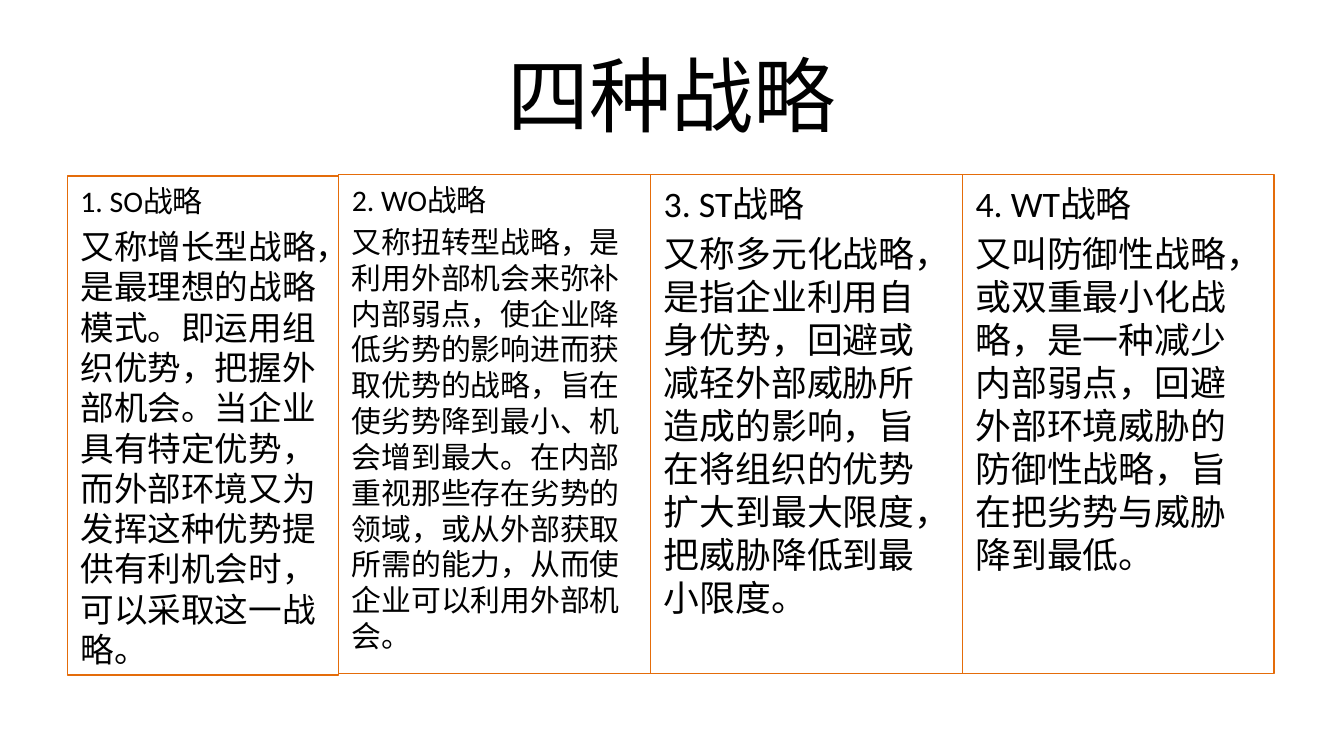
from dataclasses import dataclass

from pptx import Presentation
from pptx.dml.color import RGBColor
from pptx.enum.shapes import MSO_SHAPE as Shape
from pptx.enum.text import MSO_ANCHOR as Anchor, PP_ALIGN as Align
from pptx.util import Inches, Pt


@dataclass(frozen=True)
class Theme:
    font: str = "Calibri"
    ink: RGBColor = RGBColor(0x00, 0x00, 0x00)
    border: RGBColor = RGBColor(0xE4, 0x6C, 0x0A)
    border_width: float = 0.75
    title_size: float = 44
    small: float = 16
    medium: float = 18
    large: float = 19.2
    paragraph_gap: float = 0.22  # share of the type size


@dataclass(frozen=True)
class Strategy:
    heading: str
    description: str
    heading_size: float
    description_size: float
    width: float
    top: float


THEME = Theme()
SLIDE_WIDTH = 10
SLIDE_HEIGHT = SLIDE_WIDTH * 9 / 16
MARGIN = 0.05 * SLIDE_WIDTH
FIRST_WIDTH, COLUMN_WIDTH = 2.02, 2.32
FIRST_TOP, COLUMN_TOP = 1.31, 1.30
COLUMN_HEIGHT = 0.66 * SLIDE_HEIGHT

STRATEGIES = [
    Strategy(
        "1. SO战略",
        "又称增长型战略，是最理想的战略模式。即运用组织优势，把握外部机会。"
        "当企业具有特定优势，而外部环境又为发挥这种优势提供有利机会时，可以采取这一战略。",
        THEME.small, THEME.medium, FIRST_WIDTH, FIRST_TOP),
    Strategy(
        "2. WO战略",
        "又称扭转型战略，是利用外部机会来弥补内部弱点，使企业降低劣势的影响进而获取优势的战略，"
        "旨在使劣势降到最小、机会增到最大。在内部重视那些存在劣势的领域，"
        "或从外部获取所需的能力，从而使企业可以利用外部机会。",
        THEME.small, THEME.small, COLUMN_WIDTH, COLUMN_TOP),
    Strategy(
        "3. ST战略",
        "又称多元化战略，是指企业利用自身优势，回避或减轻外部威胁所造成的影响，"
        "旨在将组织的优势扩大到最大限度，把威胁降低到最小限度。",
        THEME.large, THEME.large, COLUMN_WIDTH, COLUMN_TOP),
    Strategy(
        "4. WT战略",
        "又叫防御性战略，或双重最小化战略，是一种减少内部弱点，回避外部环境威胁的防御性战略，"
        "旨在把劣势与威胁降到最低。",
        THEME.large, THEME.large, COLUMN_WIDTH, COLUMN_TOP),
]


def write(paragraph, text: str, *, size: float, align=Align.LEFT, gap: float = 0) -> None:
    paragraph.alignment = align
    if gap:
        paragraph.space_before = Pt(gap)
    run = paragraph.add_run()
    run.text = text
    run.font.name = THEME.font
    run.font.size = Pt(size)
    run.font.color.rgb = THEME.ink


def draw_title(slide, text: str) -> None:
    title = slide.shapes.add_textbox(
        Inches(MARGIN), Inches(0.23), Inches(SLIDE_WIDTH - 2 * MARGIN), Inches(0.94))
    frame = title.text_frame
    frame.word_wrap = True
    frame.vertical_anchor = Anchor.MIDDLE
    write(frame.paragraphs[0], text, size=THEME.title_size, align=Align.CENTER)


def draw_strategy(slide, strategy: Strategy, left: float) -> None:
    panel = slide.shapes.add_shape(
        Shape.RECTANGLE, Inches(left), Inches(strategy.top),
        Inches(strategy.width), Inches(COLUMN_HEIGHT))
    panel.shadow.inherit = False
    panel.fill.background()
    panel.line.color.rgb = THEME.border
    panel.line.width = Pt(THEME.border_width)
    frame = panel.text_frame
    frame.word_wrap = True
    frame.vertical_anchor = Anchor.TOP
    write(frame.paragraphs[0], strategy.heading, size=strategy.heading_size)
    write(frame.add_paragraph(), strategy.description, size=strategy.description_size,
          gap=THEME.paragraph_gap * strategy.description_size)


def main() -> None:
    deck = Presentation()
    deck.slide_width, deck.slide_height = Inches(SLIDE_WIDTH), Inches(SLIDE_HEIGHT)
    slide = deck.slides.add_slide(deck.slide_layouts[6])
    draw_title(slide, "四种战略")
    left = MARGIN
    for strategy in STRATEGIES:
        draw_strategy(slide, strategy, left)
        left += strategy.width
    deck.save("out.pptx")


if __name__ == "__main__":
    main()
